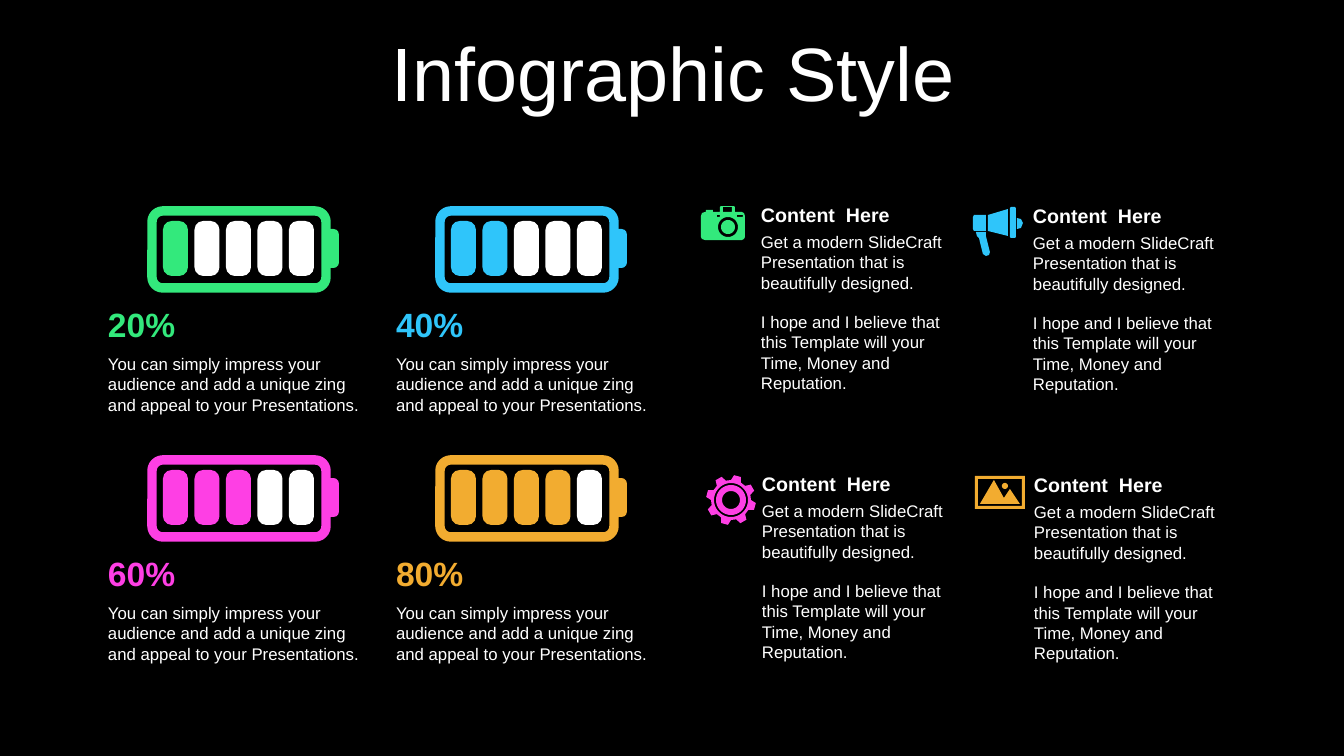
import math

import pptx
import pptx.dml.color
import pptx.enum.shapes
import pptx.enum.text
import pptx.util

EMU_PER_PX = 914400 / 100.8
COLORS = {
    "black": "000000", "white": "FFFFFF", "green": "33E97C",
    "blue": "2FC5FA", "pink": "FE3FE4", "orange": "F2AC30",
}
FONT = "Arial"
ROUND_RECT = pptx.enum.shapes.MSO_SHAPE.ROUNDED_RECTANGLE
ANCHOR = pptx.enum.text.MSO_ANCHOR

TITLE = "Infographic Style"
BATTERY_TEXT = ("You can simply impress your audience and add a unique zing "
                "and appeal to your Presentations.")
CONTENT_HEADING = "Content  Here"
CONTENT_TEXT = [
    "Get a modern SlideCraft  Presentation that is beautifully designed.",
    "I hope and I believe that this Template will your Time, Money and Reputation.",
]
# column, row, filled cells, color
BATTERIES = [(0, 0, 1, "green"), (1, 0, 2, "blue"), (0, 1, 3, "pink"), (1, 1, 4, "orange")]
BATTERY_ORIGIN, BATTERY_PITCH = (152, 211), (288, 249)
CELL_COUNT, FIRST_CELL, LAST_CELL = 5, 11, 137


def circle(center_x, center_y, radius, steps=36):
    angles = [2 * math.pi * step / steps for step in range(steps)]
    return [(center_x + radius * math.cos(a), center_y + radius * math.sin(a)) for a in angles]


def box(left, top, right, bottom):
    return [(left, top), (right, top), (right, bottom), (left, bottom)]


def gear_outline(center, teeth=8, outer=25, root=20, turn=15):
    """Each tooth has two root corners and two outer corners."""
    points = []
    for tooth in range(teeth):
        for offset, radius in ((-15, root), (-8, outer), (8, outer), (15, root)):
            angle = math.radians(turn + tooth * 360 / teeth + offset)
            points.append((center + radius * math.sin(angle), center - radius * math.cos(angle)))
    return points


CAMERA = [
    [(0, 10), (1, 7), (4, 6), (5, 6), (5, 4), (12, 4), (12, 6), (19, 6), (19, 1), (20, 0),
     (33, 0), (34, 1), (34, 6), (41, 6), (43, 7), (44, 10), (44, 31), (43, 33), (41, 34),
     (4, 34), (1, 33), (0, 31)],
    circle(27, 21, 10), circle(27, 21, 7),
    box(16, 9, 19, 11), box(36, 9, 42, 11), box(22, 1, 31, 6),
]
MEGAPHONE = [
    [(3, 25), (13, 25), (13, 29), (17, 45), (16, 48), (13, 49), (10, 47), (6, 31), (4, 29)],
    [(44, 11), (48, 12), (50, 16), (48, 21), (44, 22)],
    [(1, 8), (13, 8), (13, 24), (1, 24), (0, 22), (0, 10)],
    [(15, 8), (35, 2), (35, 29), (15, 24)],
    [(38, 0), (42, 0), (43, 1), (43, 30), (42, 31), (38, 31), (37, 30), (37, 1)],
]
GEAR = [gear_outline(24), circle(24, 24, 17), circle(24, 24, 15), circle(24, 24, 9)]
LANDSCAPE = [
    box(0, 0, 50, 33), box(3, 3, 47, 30),
    [(19, 4), (29, 22), (35, 13), (45, 28), (5, 28)], circle(30, 10, 3),
]
# icon outlines, icon position, color, text position
CONTENTS = [
    (CAMERA, (701, 206), "green", (761, 198)),
    (MEGAPHONE, (973, 207), "blue", (1033, 199)),
    (GEAR, (707, 476), "pink", (762, 467)),
    (LANDSCAPE, (975, 476), "orange", (1034, 468)),
]


def px(value):
    return pptx.util.Emu(round(value * EMU_PER_PX))


def rgb(color):
    return pptx.dml.color.RGBColor.from_string(COLORS[color])


def paint(shape, color):
    shape.shadow.inherit = False
    shape.fill.solid()
    shape.fill.fore_color.rgb = rgb(color)
    shape.line.fill.background()


def add_text(slide, frame, lines, size, color="white", bold=False, anchor=ANCHOR.TOP, gap=0):
    shape = slide.shapes.add_textbox(*map(px, frame))
    text_frame = shape.text_frame
    settings = {"word_wrap": True, "vertical_anchor": anchor, "margin_left": 0,
                "auto_size": pptx.enum.text.MSO_AUTO_SIZE.SHAPE_TO_FIT_TEXT}
    for name, value in settings.items():
        setattr(text_frame, name, value)
    for index, line in enumerate(lines):
        paragraph = text_frame.add_paragraph() if index else text_frame.paragraphs[0]
        if index:
            paragraph.space_before = pptx.util.Pt(gap)
        run = paragraph.add_run()
        run.text = line
        for name, value in {"name": FONT, "size": pptx.util.Pt(size), "bold": bold}.items():
            setattr(run.font, name, value)
        run.font.color.rgb = rgb(color)
    return text_frame


def add_battery(slide, left, top, filled, color):
    group = slide.shapes.add_group_shape()

    def add_part(x, y, width, height, rounding, fill):
        part = group.shapes.add_shape(ROUND_RECT, px(left + x), px(top + y), px(width), px(height))
        part.adjustments[0] = rounding
        paint(part, fill)
        return part

    case = add_part(0, 0, 174, 77, 0.14, color)
    case.fill.background()
    case.line.color.rgb = rgb(color)
    case.line.width = pptx.util.Pt(6.75)
    add_part(172, 18, 15, 39, 0.36, color)
    pitch = (LAST_CELL - FIRST_CELL) / (CELL_COUNT - 1)
    for cell in range(CELL_COUNT):
        fill = color if cell < filled else "white"
        add_part(FIRST_CELL + cell * pitch, 10, 25, 55, 0.35, fill)

    add_text(slide, (left - 44, top + 88, 276, 50), [f"{filled * 100 // CELL_COUNT}%"], 24,
             color, bold=True, anchor=ANCHOR.MIDDLE)
    add_text(slide, (left - 44, top + 138, 276, 72), [BATTERY_TEXT], 12)


def add_icon(slide, outlines, position, color):
    """Draw all outlines as one shape, so inner outlines become holes."""
    scaled = [[(px(x), px(y)) for x, y in outline] for outline in outlines]
    builder = slide.shapes.build_freeform(*scaled[0][0])
    for index, outline in enumerate(scaled):
        if index:
            builder.move_to(*outline[0])
        builder.add_line_segments(outline[1:], close=True)
    paint(builder.convert_to_shape(*map(px, position)), color)


def main():
    presentation = pptx.Presentation()
    presentation.slide_width, presentation.slide_height = px(1344), px(756)
    slide = presentation.slides.add_slide(presentation.slide_layouts[6])
    slide.background.fill.solid()
    slide.background.fill.fore_color.rgb = rgb("black")

    title = add_text(slide, (35, 37, 1276, 80), [TITLE], 54, anchor=ANCHOR.MIDDLE)
    title.auto_size = pptx.enum.text.MSO_AUTO_SIZE.NONE
    title.margin_left = title.margin_right
    title.paragraphs[0].alignment = pptx.enum.text.PP_ALIGN.CENTER
    title.paragraphs[0].line_spacing = 0.9

    for column, row, filled, color in BATTERIES:
        left = BATTERY_ORIGIN[0] + column * BATTERY_PITCH[0]
        top = BATTERY_ORIGIN[1] + row * BATTERY_PITCH[1]
        add_battery(slide, left, top, filled, color)

    for outlines, position, color, (left, top) in CONTENTS:
        add_icon(slide, outlines, position, color)
        add_text(slide, (left, top, 204, 34), [CONTENT_HEADING], 14, bold=True,
                 anchor=ANCHOR.MIDDLE)
        add_text(slide, (left, top + 29, 204, 173), CONTENT_TEXT, 12, gap=14)

    presentation.save("out.pptx")


if __name__ == "__main__":
    main()
